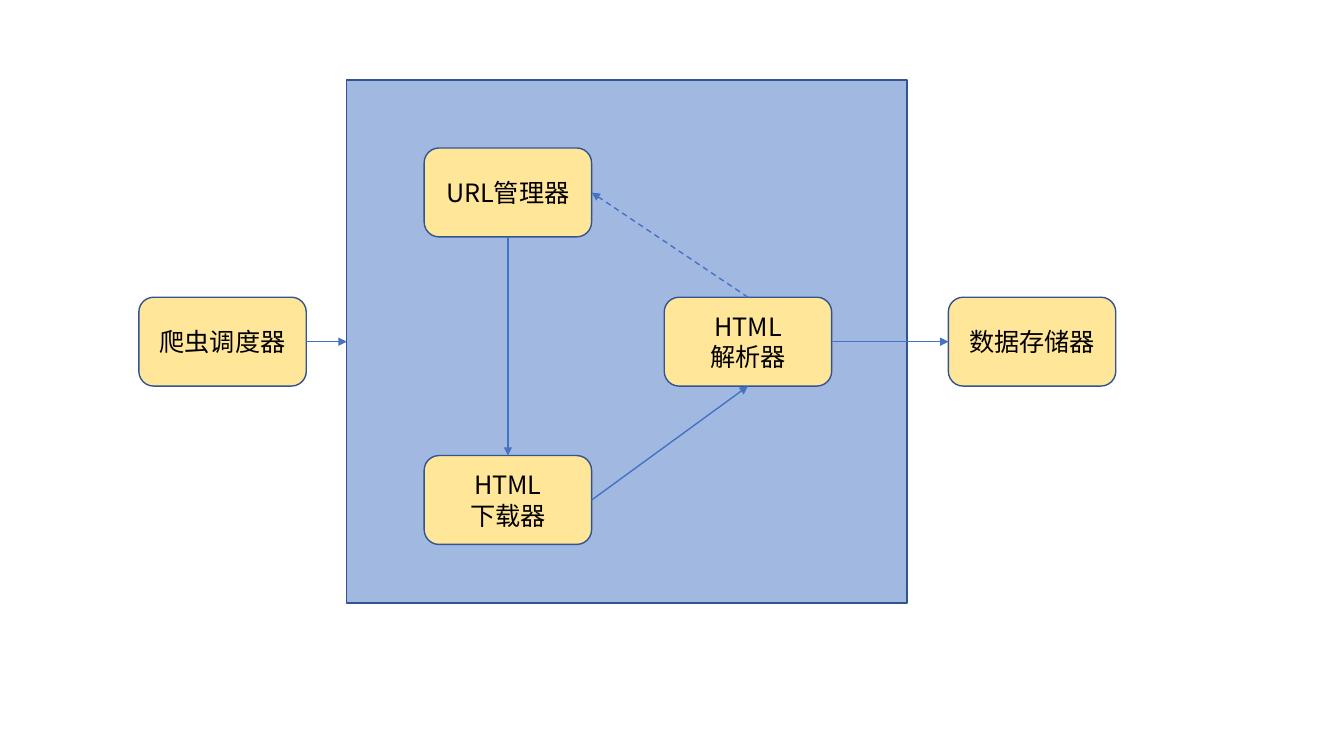
from dataclasses import dataclass

from pptx import Presentation
from pptx.dml.color import RGBColor
from pptx.enum.dml import MSO_LINE
from pptx.enum.shapes import MSO_CONNECTOR, MSO_SHAPE
from pptx.enum.text import MSO_ANCHOR, PP_ALIGN
from pptx.oxml.ns import qn
from pptx.util import Cm, Pt
from lxml import etree

RECTANGLE = MSO_SHAPE.RECTANGLE
ROUNDED = MSO_SHAPE.ROUNDED_RECTANGLE
STRAIGHT = MSO_CONNECTOR.STRAIGHT
DASH = MSO_LINE.DASH
MIDDLE = MSO_ANCHOR.MIDDLE
CENTER = PP_ALIGN.CENTER

# Connection sites of a rectangle
TOP, LEFT, BOTTOM, RIGHT = range(4)

COLORS = {"frame": "4472C4", "node": "FFE699", "outline": "325491",
          "arrow": "4472C4", "text": "000000"}
FONT = "Noto Sans CJK SC"
FONT_FORMAT = {"name": FONT, "size": Pt(18),
               "color": RGBColor.from_string(COLORS["text"])}
NODE_WIDTH, NODE_HEIGHT = 4.22, 2.24
MIDDLE_ROW = 7.49
LEFT_COLUMN = 10.69


@dataclass
class Node:
    name: str
    left: float
    top: float
    lines: list[str]


@dataclass
class Arrow:
    start: str
    start_site: int
    end: str
    end_site: int
    dashed: bool = False


NODES = [
    Node("scheduler", 3.5, MIDDLE_ROW, ["爬虫调度器"]),
    Node("url_manager", LEFT_COLUMN, 3.73, ["URL管理器"]),
    Node("downloader", LEFT_COLUMN, 11.48, ["HTML", "下载器"]),
    Node("parser", 16.74, MIDDLE_ROW, ["HTML", "解析器"]),
    Node("storage", 23.9, MIDDLE_ROW, ["数据存储器"]),
]
ARROWS = [
    Arrow("scheduler", RIGHT, "frame", LEFT),
    Arrow("parser", RIGHT, "storage", LEFT),
    Arrow("url_manager", BOTTOM, "downloader", TOP),
    Arrow("downloader", RIGHT, "parser", BOTTOM),
    Arrow("parser", TOP, "url_manager", RIGHT, dashed=True),
]


def add_box(slide, kind, left: float, top: float, width: float, height: float, fill: str):
    shape = slide.shapes.add_shape(kind, Cm(left), Cm(top), Cm(width), Cm(height))
    shape.shadow.inherit = False
    shape.fill.solid()
    shape.fill.fore_color.rgb = RGBColor.from_string(COLORS[fill])
    shape.line.color.rgb = RGBColor.from_string(COLORS["outline"])
    shape.line.width = Pt(1)
    return shape


def add_frame(slide):
    shape = add_box(slide, RECTANGLE, 8.74, 2.02, 14.12, 13.18, "frame")
    color = shape.fill._xPr.find(qn("a:solidFill"))[0]
    etree.SubElement(color, qn("a:alpha"), val="50000")
    return shape


def add_node(slide, node: Node):
    shape = add_box(slide, ROUNDED, node.left, node.top, NODE_WIDTH, NODE_HEIGHT, "node")
    text_frame = shape.text_frame
    text_frame.word_wrap = True
    text_frame.vertical_anchor = MIDDLE
    text_frame.text = "\n".join(node.lines)
    for paragraph in text_frame.paragraphs:
        paragraph.alignment = CENTER
        font = paragraph.runs[0].font
        for attribute, value in FONT_FORMAT.items():
            if attribute == "color":
                font.color.rgb = value
            else:
                setattr(font, attribute, value)
        # East Asian typeface follows the Latin one
        latin = font._element.find(qn("a:latin"))
        latin.addnext(latin.makeelement(qn("a:ea"), {"typeface": FONT}))
    return shape


def add_arrow(slide, arrow: Arrow, boxes: dict) -> None:
    connector = slide.shapes.add_connector(STRAIGHT, 0, 0, 0, 0)
    connector.begin_connect(boxes[arrow.start], arrow.start_site)
    connector.end_connect(boxes[arrow.end], arrow.end_site)
    connector.line.color.rgb = RGBColor.from_string(COLORS["arrow"])
    connector.line.width = Pt(1)
    if arrow.dashed:
        connector.line.dash_style = DASH
    properties = connector._element.spPr
    etree.SubElement(properties.find(qn("a:ln")), qn("a:tailEnd"), type="triangle")
    etree.SubElement(properties, qn("a:effectLst"))


presentation = Presentation()
presentation.slide_width, presentation.slide_height = Cm(33.87), Cm(19.05)
slide = presentation.slides.add_slide(presentation.slide_layouts[6])

# Crawler frame and its components
boxes = {"frame": add_frame(slide)}
for node in NODES:
    boxes[node.name] = add_node(slide, node)

# Data flow
for arrow in ARROWS:
    add_arrow(slide, arrow, boxes)

presentation.save("out.pptx")
